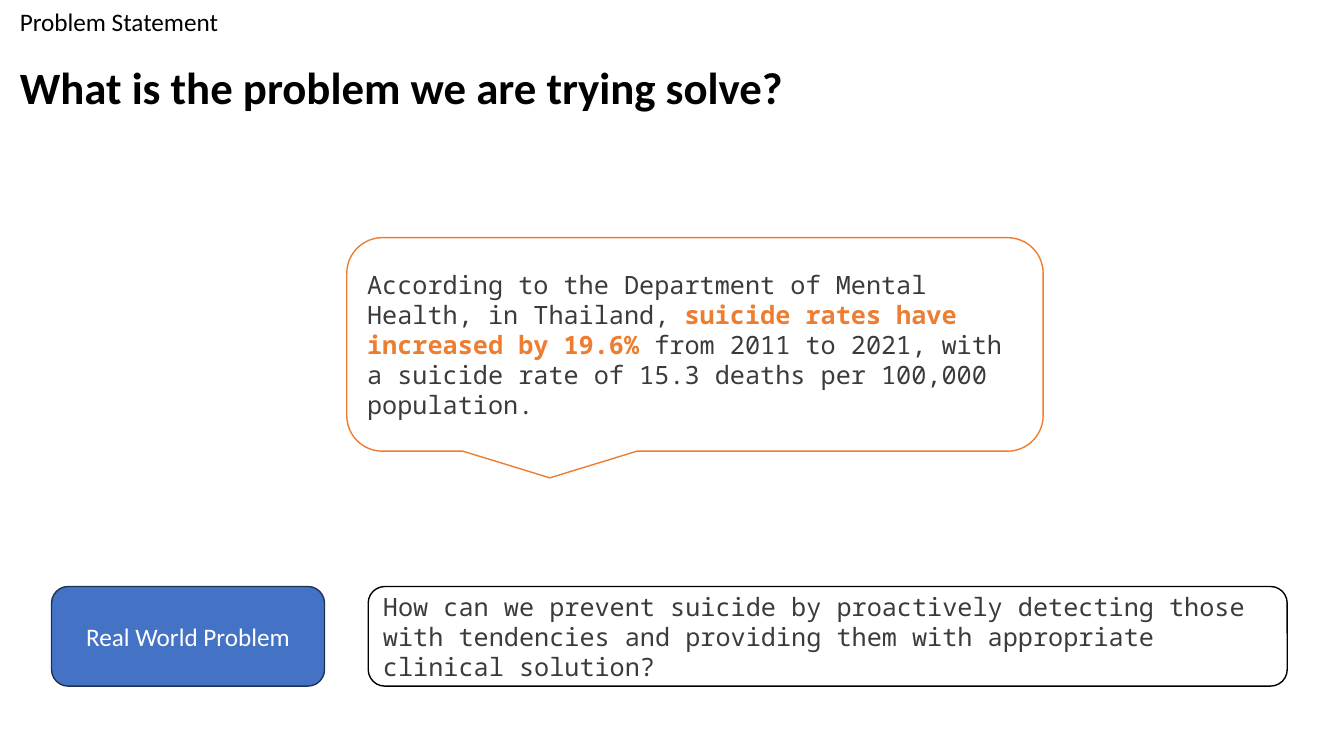
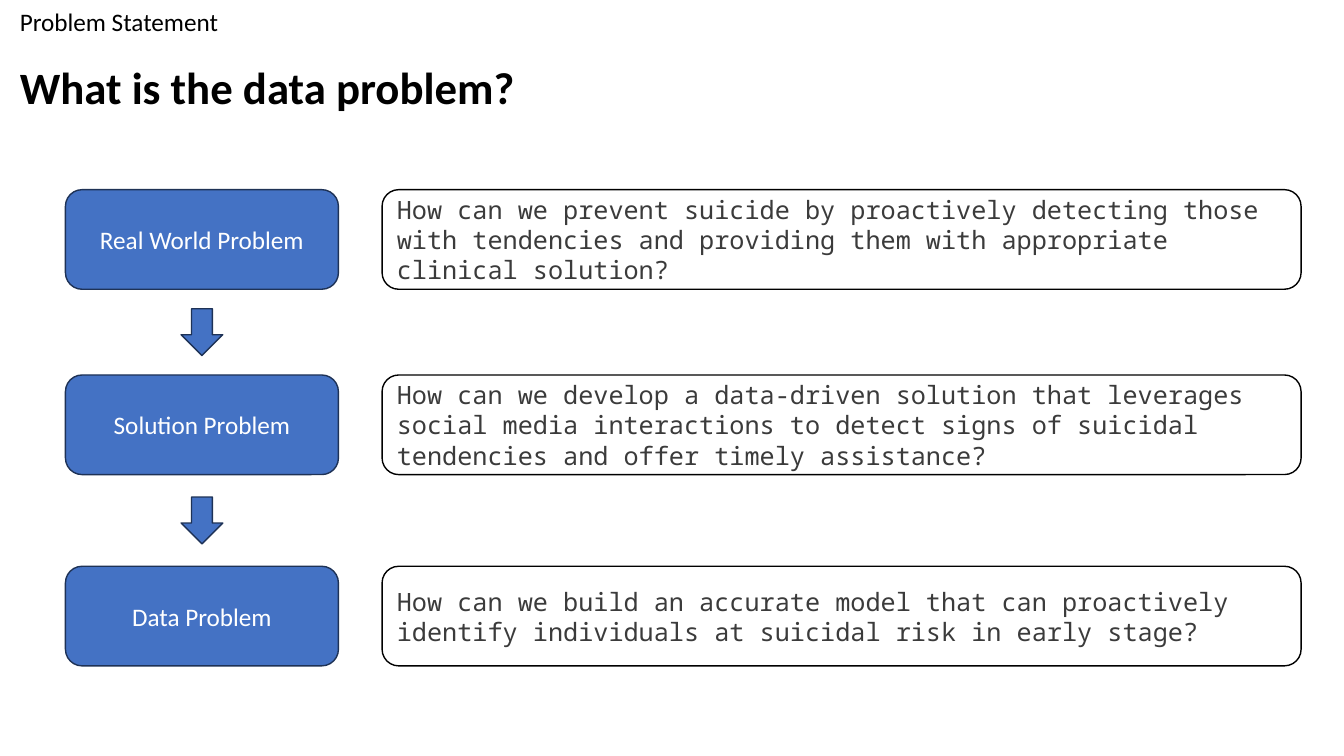
import pptx
import pptx.util
import pptx.dml.color
import pptx.enum.shapes
import pptx.enum.text

Cm = pptx.util.Cm
SHAPE = pptx.enum.shapes.MSO_SHAPE
ALIGN = pptx.enum.text.PP_ALIGN
COLORS = {
    "black": "000000",
    "white": "FFFFFF",
    "body": "3B3B3B",
    "blue": "4472C4",
    "navy": "1E3256",
    "orange": "ED7D31",
}
SANS, MONO = "Calibri", "Noto Sans Mono"
LABEL_W, ROW_H = 6.88, 2.51
QUESTION_DX, QUESTION_W = 7.98, 23.16
ARROW_W, ARROW_H = 1.05, 1.18

REAL_WORLD = (
    "Real World Problem",
    "How can we prevent suicide by proactively detecting those with tendencies "
    "and providing them with appropriate clinical solution?",
)
SOLUTION = (
    "Solution Problem",
    "How can we develop a data-driven solution that leverages social media "
    "interactions to detect signs of suicidal tendencies and offer timely assistance?",
)
DATA = (
    "Data Problem",
    "How can we build an accurate model that can proactively identify "
    "individuals at suicidal risk in early stage?",
)


def rgb(name):
    return pptx.dml.color.RGBColor.from_string(COLORS[name])


def add_run(p, text, size=18, font=SANS, color="black", bold=False):
    r = p.add_run()
    r.text = text
    r.font.size = pptx.util.Pt(size)
    r.font.name = font
    r.font.bold = bold
    r.font.color.rgb = rgb(color)


def first_paragraph(sp, align=ALIGN.LEFT):
    tf = sp.text_frame
    tf.word_wrap = True
    tf.vertical_anchor = pptx.enum.text.MSO_ANCHOR.MIDDLE
    p = tf.paragraphs[0]
    p.alignment = align
    return p


def add_box(s, kind, x, y, w, h, fill="white", line="black"):
    sp = s.shapes.add_shape(kind, Cm(x), Cm(y), Cm(w), Cm(h))
    sp.shadow.inherit = False
    sp.fill.solid()
    sp.fill.fore_color.rgb = rgb(fill)
    sp.line.color.rgb = rgb(line)
    sp.line.width = pptx.util.Pt(1)
    return sp


def add_heading(s, text, x, y, w, h, **fmt):
    sp = s.shapes.add_textbox(Cm(x), Cm(y), Cm(w), Cm(h))
    p = first_paragraph(sp)
    p.line_spacing = 0.9
    add_run(p, text, **fmt)


def add_problem_row(s, x, y, label, question):
    sp = add_box(s, SHAPE.ROUNDED_RECTANGLE, x, y, LABEL_W, ROW_H, "blue", "navy")
    add_run(first_paragraph(sp, ALIGN.CENTER), label, color="white")
    sp = add_box(s, SHAPE.ROUNDED_RECTANGLE, x + QUESTION_DX, y, QUESTION_W, ROW_H)
    add_run(first_paragraph(sp), question, font=MONO, color="body")


def add_problem_chain(s, x, tops, problems):
    for top, problem in zip(tops, problems):
        add_problem_row(s, x, top, *problem)
    for upper, lower in zip(tops, tops[1:]):
        middle = (upper + ROW_H + lower) / 2
        add_box(s, SHAPE.DOWN_ARROW, x + (LABEL_W - ARROW_W) / 2,
                middle - ARROW_H / 2, ARROW_W, ARROW_H, "blue", "navy")


def add_callout(s, x, y, w, h):
    sp = add_box(s, SHAPE.ROUNDED_RECTANGULAR_CALLOUT, x, y, w, h, line="orange")
    p = first_paragraph(sp)
    add_run(p, "According to the Department of Mental Health, in Thailand, ",
            font=MONO, color="body")
    add_run(p, "suicide rates have increased by 19.6% ",
            font=MONO, color="orange", bold=True)
    add_run(p, "from 2011 to 2021, with a suicide rate of 15.3 deaths per "
            "100,000 population.", font=MONO, color="body")


def add_slide(prs, title):
    s = prs.slides.add_slide(prs.slide_layouts[6])
    add_heading(s, "Problem Statement", 0.25, 0.18, 31.29, 0.84)
    add_heading(s, title, 0.25, 1.02, 33.22, 2.51, size=32, bold=True)
    return s


def main():
    prs = pptx.Presentation()
    prs.slide_width, prs.slide_height = Cm(33.87), Cm(19.05)

    s = add_slide(prs, "What is the problem we are trying solve?")
    add_problem_row(s, 1.3, 14.78, *REAL_WORLD)
    add_callout(s, 8.74, 5.99, 17.55, 5.38)

    s = add_slide(prs, "What is the data problem?")
    add_problem_chain(s, 1.65, (4.78, 9.45, 14.27), (REAL_WORLD, SOLUTION, DATA))

    prs.save("out.pptx")


if __name__ == "__main__":
    main()
